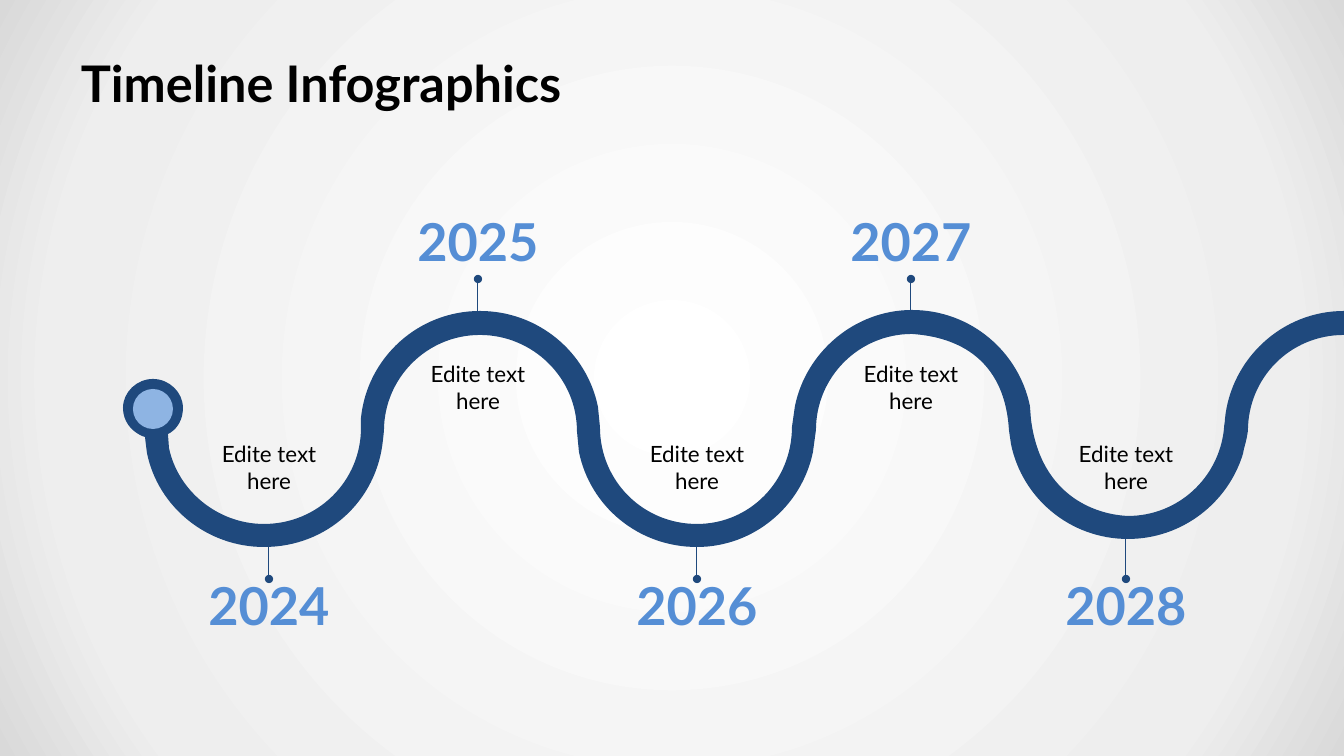
import pptx
import pptx.util
import pptx.dml.color
import pptx.enum.shapes
import pptx.enum.text
import pptx.oxml
import pptx.oxml.ns
from pptx.oxml.ns import qn
from lxml import etree

PX = 12192000 / 1344
NAVY, BLUE, PALE, BLACK = "1F497D", "558ED5", "8EB4E3", "000000"
BACKDROP = [(0, "FFFFFF"), (81, "EEEEEE"), (100, "D9D9D9")]

ROAD_START = (912, 310)
# Two numbers make a straight step, six make a Bezier step.
ROAD = [
    (971, 310, 1019, 352, 1030, 406), (1031, 419),
    (1041, 500, 1101, 515, 1128, 516), (1178, 516, 1219, 478, 1224, 429),
    (1224, 425, 1225, 423, 1225, 419), (1231, 359, 1282, 311, 1344, 311),
    (1344, 335),
    (1290, 335, 1248, 378, 1248, 431), (1246, 444, 1244, 447, 1243, 454),
    (1228, 503, 1182, 539, 1128, 539), (1070, 539, 1022, 498, 1011, 444),
    (1009, 430),
    (1004, 347, 941, 336, 912, 334), (859, 334, 816, 377, 816, 430),
    (813, 452),
    (802, 506, 754, 547, 697, 547), (638, 547, 590, 506, 579, 452),
    (577, 431),
    (577, 378, 533, 335, 480, 335), (427, 335, 384, 378, 384, 431),
    (383, 440),
    (377, 501, 327, 547, 264, 547), (207, 547, 158, 507, 147, 453),
    (145, 437), (142, 436),
    (131, 431, 123, 421, 123, 408), (123, 392, 137, 379, 153, 379),
    (169, 379, 183, 392, 183, 408), (183, 419, 178, 428, 170, 433),
    (168, 434), (169, 448),
    (178, 491, 218, 524, 264, 524), (318, 524, 361, 481, 361, 428),
    (361, 418),
    (367, 358, 418, 311, 480, 311), (538, 311, 587, 352, 598, 407),
    (600, 427),
    (600, 481, 643, 524, 697, 524), (750, 524, 792, 481, 792, 427),
    (795, 406),
    (806, 352, 855, 310, 912, 310),
]

MILESTONES = [("2024", 269, 544), ("2025", 478, 315), ("2026", 697, 544),
              ("2027", 911, 315), ("2028", 1126, 539)]


def px(length):
    return pptx.util.Emu(round(length * PX))


def color(value):
    return pptx.dml.color.RGBColor.from_string(value)


def paint_backdrop(slide):
    slide.background.fill.gradient()
    gradient = slide.element.find(".//" + qn("a:gradFill"))
    for child in list(gradient):
        gradient.remove(child)
    stops = etree.SubElement(gradient, qn("a:gsLst"))
    for position, value in BACKDROP:
        stop = etree.SubElement(stops, qn("a:gs"), pos=str(position * 1000))
        etree.SubElement(stop, qn("a:srgbClr"), val=value)
    circle = etree.SubElement(gradient, qn("a:path"), path="circle")
    etree.SubElement(circle, qn("a:fillToRect"),
                     {side: "50000" for side in "ltrb"})


def add_text(slide, text, box, size, ink, bold=False, centred=True,
             wrap=True, insets=(10, 5), anchor="TOP"):
    frame = slide.shapes.add_textbox(*map(px, box)).text_frame
    frame.word_wrap = wrap
    frame.margin_left = frame.margin_right = px(insets[0])
    frame.margin_top = frame.margin_bottom = px(insets[1])
    frame.vertical_anchor = pptx.enum.text.MSO_ANCHOR[anchor]
    paragraph = frame.paragraphs[0]
    paragraph.text = text
    if centred:
        paragraph.alignment = pptx.enum.text.PP_ALIGN.CENTER
    paragraph.font.name = "Lato"
    paragraph.font.size = pptx.util.Pt(size)
    paragraph.font.bold = bold
    paragraph.font.color.rgb = color(ink)


def paint(shape, value):
    shape.shadow.inherit = False
    shape.fill.solid()
    shape.fill.fore_color.rgb = color(value)
    shape.line.fill.background()


def add_road(slide):
    builder = slide.shapes.build_freeform(*ROAD_START, scale=PX)
    builder.add_line_segments([step[-2:] for step in ROAD], close=True)
    road = builder.convert_to_shape()
    paint(road, NAVY)
    left = min(step[-2] for step in ROAD)
    top = min(step[-1] for step in ROAD)
    for segment, step in zip(list(road.element.iter(qn("a:lnTo"))), ROAD):
        if len(step) == 6:
            curve = etree.Element(qn("a:cubicBezTo"))
            for x, y in zip(step[::2], step[1::2]):
                etree.SubElement(curve, qn("a:pt"),
                                 x=str(x - left), y=str(y - top))
            segment.getparent().replace(segment, curve)


def add_stem(slide, x, dot_y, road_y):
    stem = slide.shapes.add_connector(
        pptx.enum.shapes.MSO_CONNECTOR.STRAIGHT,
        px(x), px(dot_y), px(x), px(road_y))
    stem.line.color.rgb = color(NAVY)
    stem.line.width = pptx.util.Pt(0.75)
    etree.SubElement(stem.line._get_or_add_ln(), qn("a:headEnd"), type="oval")
    etree.SubElement(stem.element.spPr, qn("a:effectLst"))


def add_milestone(slide, year, x, road_y, below):
    note_y, year_y, dot_y = (435, 573, 579) if below else (355, 209, 279)
    add_text(slide, "Edite text here", (x - 63, note_y, 126, 65), 16, BLACK)
    add_text(slide, year, (x - 61, year_y, 122, 64), 37.3, BLUE,
             bold=True, wrap=False, insets=(0, 0))
    add_stem(slide, x, dot_y, road_y)


def main():
    deck = pptx.Presentation()
    deck.slide_width, deck.slide_height = px(1344), px(756)
    slide = deck.slides.add_slide(deck.slide_layouts[6])
    paint_backdrop(slide)
    add_text(slide, "Timeline Infographics", (68, 43, 1210, 79), 36, BLACK,
             bold=True, centred=False, insets=(13, 7), anchor="MIDDLE")
    add_road(slide)
    for index, (year, x, road_y) in enumerate(MILESTONES):
        add_milestone(slide, year, x, road_y, below=index % 2 == 0)
    start = slide.shapes.add_shape(pptx.enum.shapes.MSO_SHAPE.OVAL,
                                   *map(px, (133, 389, 40, 40)))
    paint(start, PALE)
    deck.save("out.pptx")


if __name__ == "__main__":
    main()
